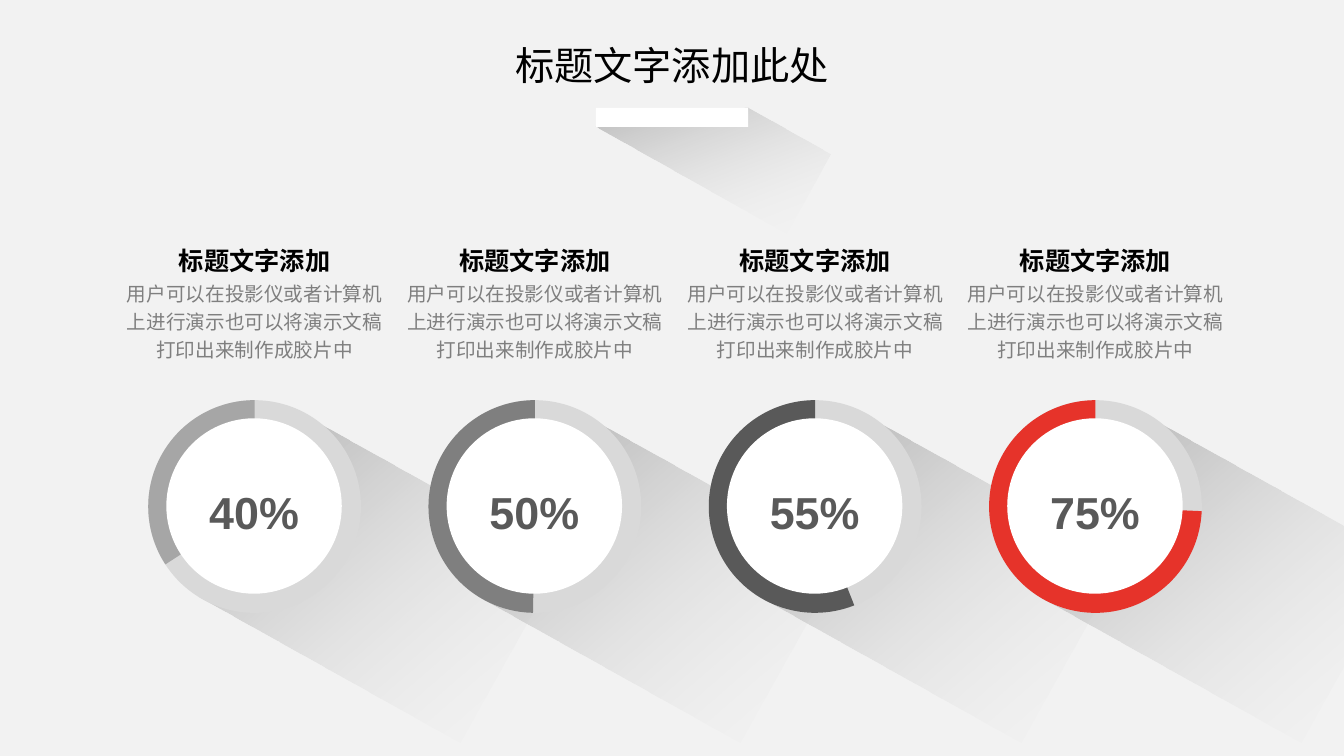
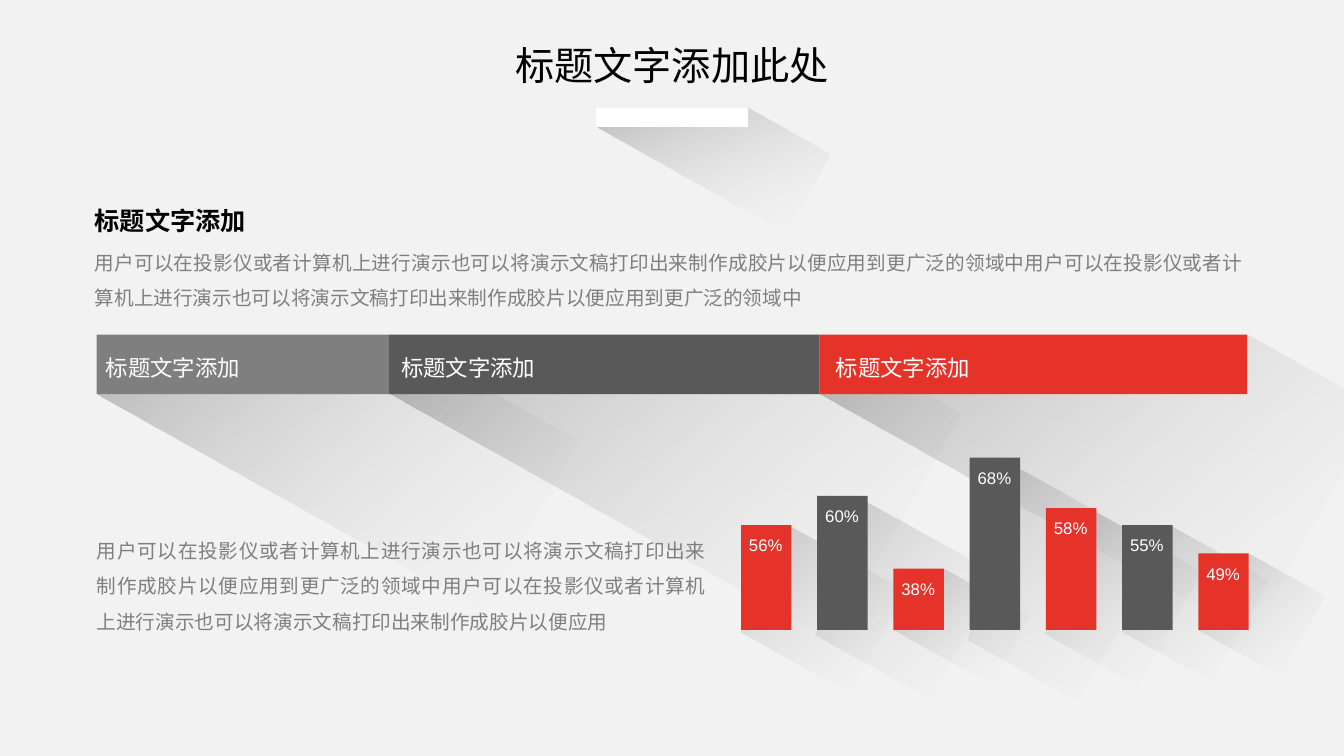
from math import cos, radians, sin

from lxml import etree
from pptx import Presentation
from pptx.dml.color import RGBColor
from pptx.enum import shapes, text
from pptx.oxml import ns, parse_xml
from pptx.util import Inches, Pt

BACKGROUND = RGBColor(0xF2, 0xF2, 0xF2)
WHITE = RGBColor(0xFF, 0xFF, 0xFF)
BLACK = RGBColor(0x00, 0x00, 0x00)
SILVER = RGBColor(0xD9, 0xD9, 0xD9)
LIGHT = RGBColor(0xA6, 0xA6, 0xA6)
GRAY = RGBColor(0x7F, 0x7F, 0x7F)
DARK = RGBColor(0x59, 0x59, 0x59)
RED = RGBColor(0xE6, 0x33, 0x2A)

CJK = "Noto Sans CJK SC"
LATIN = "Arial"
SHADOW_ANGLE = 29.2
SHAPE = shapes.MSO_SHAPE
ALIGN = text.PP_ALIGN

HEADING = "标题文字添加"
CAPTION = "用户可以在投影仪或者计算机上进行演示也可以将演示文稿打印出来制作成胶片中"
SENTENCE = "用户可以在投影仪或者计算机上进行演示也可以将演示文稿打印出来制作成胶片以便应用"
FULL_SENTENCE = SENTENCE + "到更广泛的领域中"


def rotate(point, degrees):
    x, y = point
    c, s = cos(radians(degrees)), sin(radians(degrees))
    return x * c - y * s, x * s + y * c


class Deck:
    """Long-shadow style together with the slide being drawn."""

    def __init__(self):
        self.presentation = Presentation()
        self.presentation.slide_width = Inches(13.33)
        self.presentation.slide_height = Inches(7.5)
        self.slide = None

    def new_slide(self):
        self.slide = self.presentation.slides.add_slide(self.presentation.slide_layouts[6])
        fill = self.slide.background.fill
        fill.solid()
        fill.fore_color.rgb = BACKGROUND

    def title(self, words):
        self.shadow((5.91, 1.26), (7.42, 1.07), 0.94, angle=40)
        self.shape(SHAPE.RECTANGLE, 5.91, 1.07, 1.51, 0.19, WHITE)
        self.text(words, 5.05, 0.36, 3.23, 0.66, 28, BLACK, spacing=1.0, wrap=False)

    def shape(self, kind, left, top, width, height, color):
        shape = self.slide.shapes.add_shape(
            kind, Inches(left), Inches(top), Inches(width), Inches(height))
        shape.shadow.inherit = False
        shape.fill.solid()
        shape.fill.fore_color.rgb = color
        shape.line.fill.background()
        return shape

    def shadow(self, bottom_left, top_right, length, opacity=30, angle=20):
        x1, y1 = rotate(bottom_left, -SHADOW_ANGLE)
        x2, y2 = rotate(top_right, -SHADOW_ANGLE)
        end = x2 + length
        center = (x1 + end) / 2, (y1 + y2) / 2
        turned = rotate(center, SHADOW_ANGLE)
        dx, dy = turned[0] - center[0], turned[1] - center[1]
        start, *rest = [(Inches(x + dx), Inches(y + dy))
                        for x, y in ((x1, y1), (x2, y2), (end, y2), (end, y1))]
        builder = self.slide.shapes.build_freeform(*start)
        builder.add_line_segments(rest)
        shape = builder.convert_to_shape()
        shape.rotation = SHADOW_ANGLE
        shape.shadow.inherit = False
        shape.line.fill.background()
        gradient = parse_xml(
            f'<a:gradFill {ns.nsdecls("a")} rotWithShape="1"><a:gsLst>'
            f'<a:gs pos="0"><a:srgbClr val="{BLACK}"><a:alpha val="{opacity * 1000}"/></a:srgbClr></a:gs>'
            f'<a:gs pos="100000"><a:srgbClr val="{BACKGROUND}"><a:alpha val="0"/></a:srgbClr></a:gs>'
            f'</a:gsLst><a:lin ang="{angle * 60000}" scaled="0"/></a:gradFill>')
        shape._element.spPr.find(ns.qn("a:custGeom")).addnext(gradient)

    def text(self, words, left, top, width, height, size, color, font=CJK,
             bold=False, align=ALIGN.CENTER, spacing=1.2, wrap=True):
        box = self.slide.shapes.add_textbox(
            Inches(left), Inches(top), Inches(width), Inches(height))
        frame = box.text_frame
        frame.word_wrap = wrap
        frame.auto_size = text.MSO_AUTO_SIZE.SHAPE_TO_FIT_TEXT
        frame.margin_left = frame.margin_right = Inches(0.05)
        frame.margin_top = frame.margin_bottom = Inches(0.05)
        paragraph = frame.paragraphs[0]
        paragraph.text = words
        paragraph.alignment = align
        paragraph.line_spacing = spacing
        paragraph.font.size = Pt(size)
        paragraph.font.bold = bold
        paragraph.font.color.rgb = color
        paragraph.font.name = font
        defaults = paragraph._p.pPr.find(ns.qn("a:defRPr"))
        etree.SubElement(defaults, ns.qn("a:ea")).set("typeface", font)

    def ring(self, left, top, start_angle, color, label):
        self.shape(SHAPE.OVAL, left, top, 2.11, 2.11, SILVER)
        pie = self.shape(SHAPE.PIE, left, top, 2.11, 2.11, color)
        pie.adjustments[0] = start_angle * 0.6
        pie.adjustments[1] = 270 * 0.6
        self.shape(SHAPE.OVAL, left + 0.18, top + 0.18, 1.74, 1.74, WHITE)
        self.text(label, left + 0.26, top + 0.68, 1.58, 0.6, 32, DARK, LATIN, bold=True)


def build_rings(deck):
    deck.new_slide()
    rings = [(147, LIGHT, "40%"), (91, GRAY, "50%"), (68.4, DARK, "55%"), (2.5, RED, "75%")]
    lefts = [1.47 + 2.78 * i for i in range(len(rings))]
    for left in reversed(lefts):
        deck.shadow((left + 0.51, 5.92), (left + 1.56, 4.12), 2.92)
    for left, ring in zip(lefts, rings):
        deck.ring(left, 3.97, *ring)
        deck.text(CAPTION, left - 0.27, 2.7, 2.65, 1.04, 14, GRAY)
        deck.text(HEADING, left - 0.17, 2.32, 2.45, 0.45, 18, BLACK, bold=True)
    deck.title("标题文字添加此处")


def build_bars(deck):
    deck.new_slide()
    base, bar_width = 6.25, 0.5
    bars = [("56%", 1.04, 1.3), ("60%", 1.33, 1.51), ("38%", 0.61, 0.97), ("68%", 1.71, 1.66),
            ("58%", 1.21, 1.21), ("55%", 1.04, 1.09), ("49%", 0.76, 0.86)]
    bar_lefts = [7.35 + 0.756 * i for i in range(len(bars))]
    band_top, band_height = 3.32, 0.59
    bands = [(0.96, 3.86, GRAY, 2.15, 0.04), (3.86, 8.13, DARK, 1.6, 0.07),
             (8.13, 12.37, RED, 1.49, 0.11)]

    for left, (label, height, length) in zip(bar_lefts, bars):
        deck.shadow((left, base), (left + bar_width, base - height), length, opacity=20)
    for left, right, color, length, indent in bands:
        deck.shadow((left, band_top + band_height), (right, band_top), length)
    for i, (left, (label, height, length)) in enumerate(zip(bar_lefts, bars)):
        top = base - height
        deck.shape(SHAPE.RECTANGLE, left, top, bar_width, height, DARK if i % 2 else RED)
        deck.text(label, left - 0.03, top + 0.01, 0.55, 0.29, 12, WHITE, LATIN)
    deck.title("标题文字添加此处")

    deck.text(FULL_SENTENCE * 2, 0.89, 2.32, 11.49, 0.79, 14, GRAY,
              align=ALIGN.JUSTIFY, spacing=1.5)
    deck.text(HEADING, 0.89, 1.93, 2.45, 0.45, 18, BLACK, bold=True, align=ALIGN.JUSTIFY)
    for left, right, color, length, indent in bands:
        deck.shape(SHAPE.RECTANGLE, left, band_top, right - left, band_height, color)
        deck.text(HEADING, left + indent, 3.41, 2.45, 0.41, 16, WHITE, align=ALIGN.JUSTIFY)
    deck.text(FULL_SENTENCE + SENTENCE, 0.91, 5.18, 6.14, 1.21, 14, GRAY,
              align=ALIGN.JUSTIFY, spacing=1.5)


def main():
    deck = Deck()
    build_rings(deck)
    build_bars(deck)
    deck.presentation.save("out.pptx")


if __name__ == "__main__":
    main()
